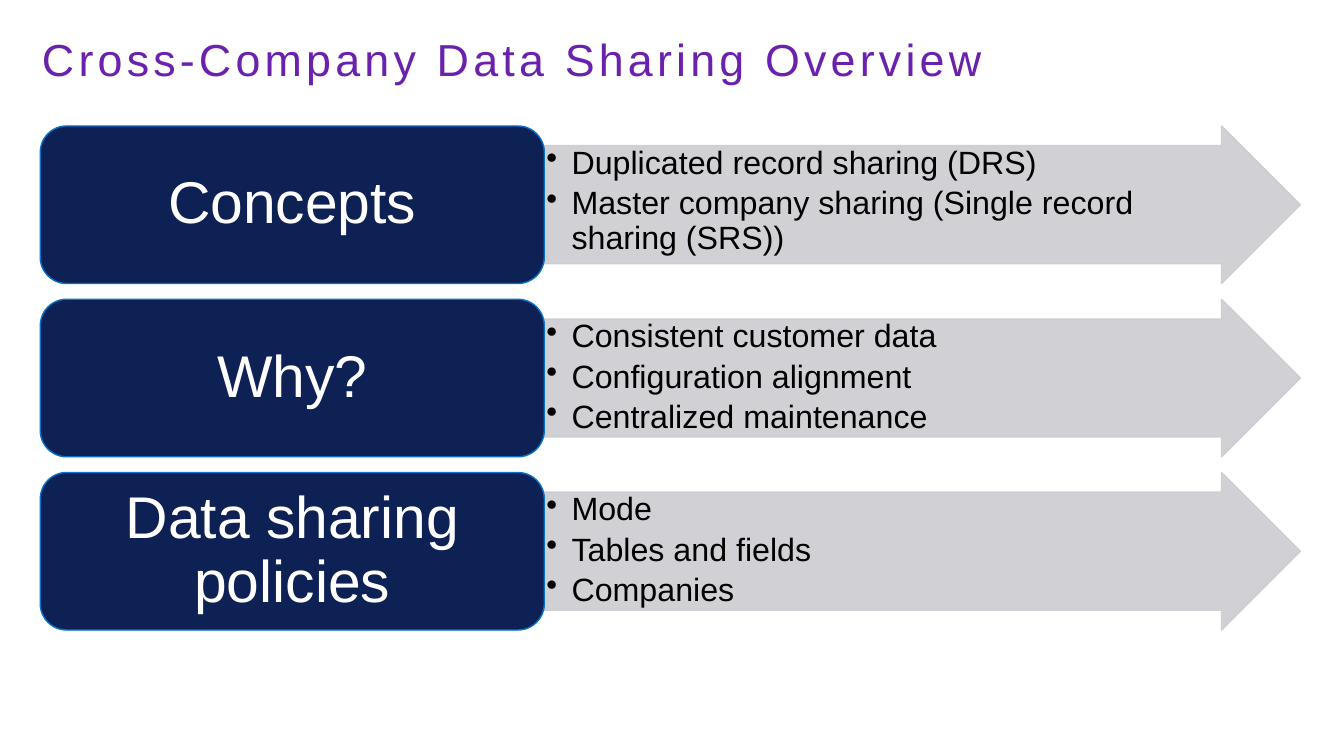
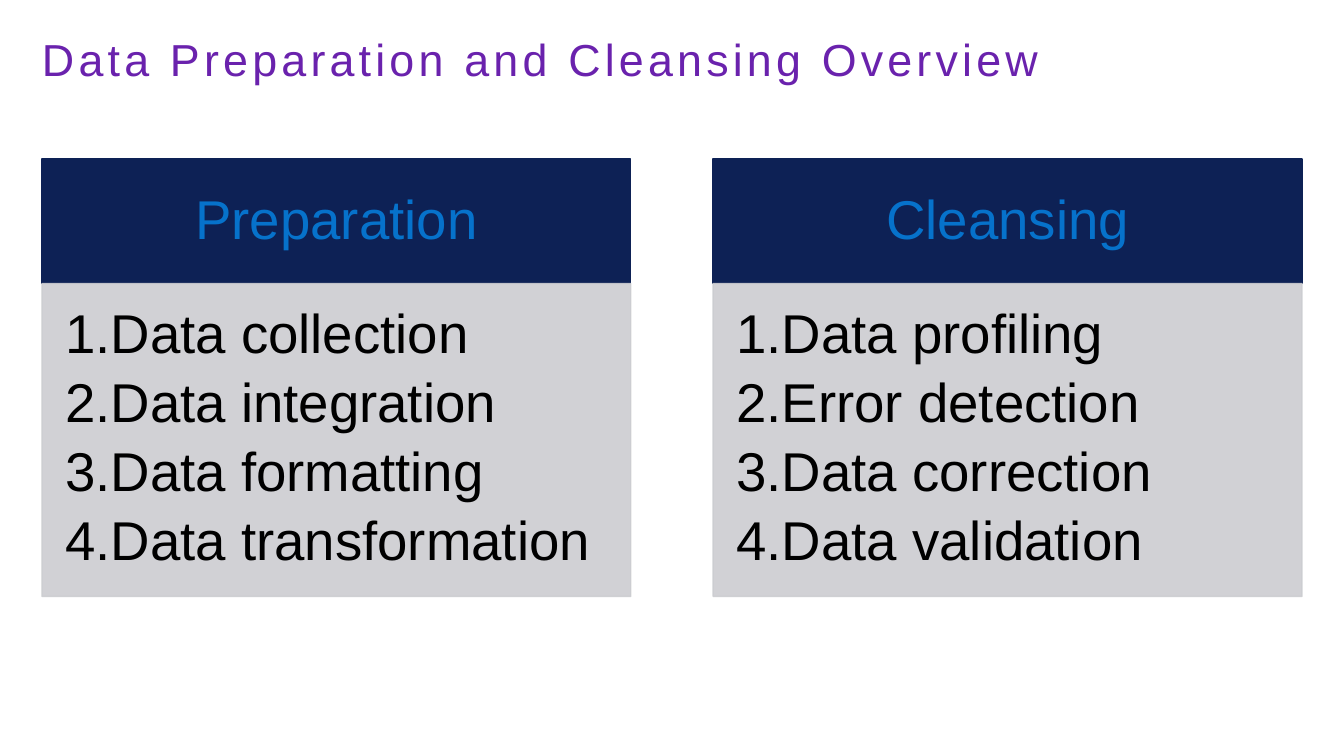
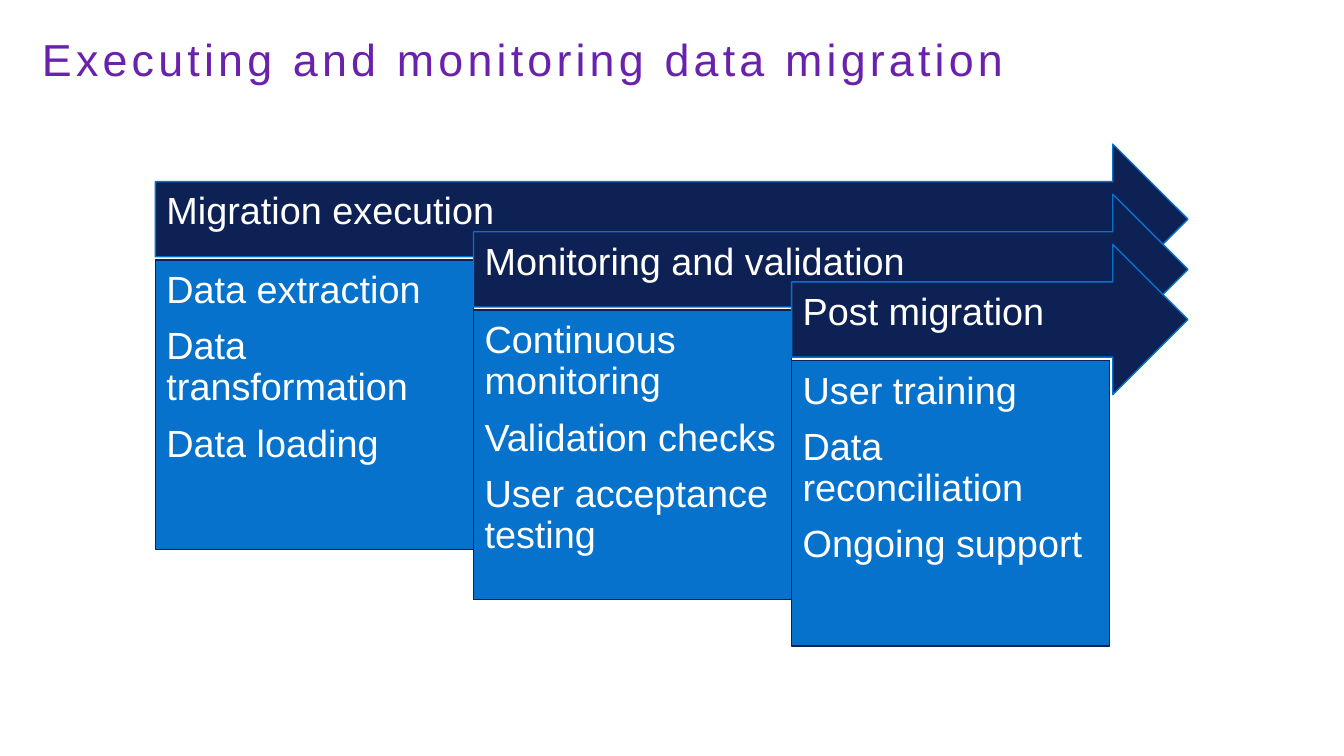
from pptx import Presentation
from pptx.dml.color import RGBColor
from pptx.enum.shapes import MSO_SHAPE
from pptx.enum.text import MSO_ANCHOR, MSO_AUTO_SIZE, PP_ALIGN
from pptx.oxml.ns import qn
from pptx.util import Inches, Pt
from lxml import etree

NAVY = RGBColor(0x0D, 0x21, 0x55)
BLUE = RGBColor(0x06, 0x72, 0xCB)
GREY = RGBColor(0xCC, 0xCD, 0xD1)
PURPLE = RGBColor(0x6A, 0x22, 0xAD)
WHITE = RGBColor(0xFF, 0xFF, 0xFF)
BLACK = RGBColor(0x00, 0x00, 0x00)
FONT = "Arial"
LINE_SPACING = 0.9

RECTANGLE = MSO_SHAPE.RECTANGLE
ROUNDED = MSO_SHAPE.ROUNDED_RECTANGLE
ARROW = MSO_SHAPE.RIGHT_ARROW
LEFT, CENTER = PP_ALIGN.LEFT, PP_ALIGN.CENTER
TOP, MIDDLE = MSO_ANCHOR.TOP, MSO_ANCHOR.MIDDLE
NO_AUTOFIT = MSO_AUTO_SIZE.NONE

presentation = Presentation()
presentation.slide_width = Inches(13.333)
presentation.slide_height = Inches(7.5)

# Grid of 160 columns by 90 rows
COLUMN = presentation.slide_width / 160
ROW = presentation.slide_height / 90


def add_titled_slide(text):
    slide = presentation.slides.add_slide(presentation.slide_layouts[5])
    title = slide.shapes.title
    title.left, title.top = int(5 * COLUMN), int(4.5 * ROW)
    title.width, title.height = int(150 * COLUMN), int(5.8 * ROW)
    frame = title.text_frame
    frame.text = text
    frame.auto_size = NO_AUTOFIT
    frame.vertical_anchor = MIDDLE
    frame.margin_left = frame.margin_top = frame.margin_right = frame.margin_bottom = 0
    paragraph = frame.paragraphs[0]
    paragraph.alignment = LEFT
    paragraph.line_spacing = LINE_SPACING
    paragraph.font.name = FONT
    paragraph.font.size = Pt(32)
    paragraph.font.color.rgb = PURPLE
    paragraph._p.pPr.find(qn("a:defRPr")).set("spc", "300")
    return slide


def add_panel(slide, kind, grid, lines, size, fill, outline, color, margins,
              align=LEFT, anchor=TOP, space_after=0, bullet=None, indent=0, opacity=None):
    """Add a filled shape; grid is left, top, width, height in columns and rows."""
    left, top, width, height = grid
    shape = slide.shapes.add_shape(kind, int(left * COLUMN), int(top * ROW),
                                   int(width * COLUMN), int(height * ROW))
    shape.shadow.inherit = False
    shape.fill.solid()
    shape.fill.fore_color.rgb = fill
    shape.line.color.rgb = outline
    shape.line.width = Pt(1)
    if opacity:
        for tint in shape._element.spPr.iter(qn("a:srgbClr")):
            etree.SubElement(tint, qn("a:alpha")).set("val", str(opacity * 1000))

    frame = shape.text_frame
    frame.word_wrap = True
    frame.vertical_anchor = anchor
    (frame.margin_left, frame.margin_top,
     frame.margin_right, frame.margin_bottom) = [Inches(margin) for margin in margins]
    frame.text = "\n".join(lines)
    for paragraph in frame.paragraphs:
        if bullet:
            tag, attribute, value = bullet
            properties = paragraph._p.get_or_add_pPr()
            properties.set("marL", str(Inches(indent)))
            properties.set("indent", str(-Inches(indent)))
            etree.SubElement(properties, qn(tag)).set(attribute, value)
        paragraph.alignment = align
        paragraph.line_spacing = LINE_SPACING
        paragraph.space_after = Pt(space_after)
        paragraph.font.name = FONT
        paragraph.font.size = Pt(size)
        paragraph.font.color.rgb = color
    return shape


# Slide 1: three topics, each with an arrow of points
slide = add_titled_slide("Cross-Company Data Sharing Overview")
topics = [
    ("Concepts", ["Duplicated record sharing (DRS)",
                  "Master company sharing (Single record sharing (SRS))"]),
    ("Why?", ["Consistent customer data", "Configuration alignment",
              "Centralized maintenance"]),
    ("Data sharing policies", ["Mode", "Tables and fields", "Companies"]),
]
topic_height = 18.75
for index, (topic, points) in enumerate(topics):
    top = 15 + index * topic_height * 1.1
    arrow = add_panel(slide, ARROW, (64.8, top, 90, topic_height), points, 23,
                      GREY, GREY, BLACK, (0.02, 0.01, 0, 0.01), space_after=4,
                      bullet=("a:buChar", "char", "•"), indent=0.25, opacity=90)
    arrow.adjustments[0] = 0.75
    add_panel(slide, ROUNDED, (4.8, top, 60, topic_height), [topic], 42,
              NAVY, BLUE, WHITE, (0.17, 0.08, 0.17, 0.08), CENTER, MIDDLE)

# Slide 2: two numbered lists under headings
slide = add_titled_slide("Data Preparation and Cleansing Overview")
stages = [
    ("Preparation", ["Data collection", "Data integration", "Data formatting",
                     "Data transformation"]),
    ("Cleansing", ["Data profiling", "Error detection", "Data correction",
                   "Data validation"]),
]
heading_top, heading_height, list_height, stage_width = 18.95, 14.8, 37.25, 70.1
for index, (heading, steps) in enumerate(stages):
    left = 5 + index * 79.9
    add_panel(slide, RECTANGLE, (left, heading_top, stage_width, heading_height),
              [heading], 39, NAVY, NAVY, BLUE, (0.3, 0.17, 0.3, 0.17), CENTER, MIDDLE)
    add_panel(slide, RECTANGLE,
              (left, heading_top + heading_height, stage_width, list_height),
              steps, 39, GREY, GREY, BLACK, (0.23, 0.23, 0.3, 0.34), space_after=7,
              bullet=("a:buAutoNum", "type", "arabicPeriod"), indent=0.31, opacity=90)

# Slide 3: overlapping arrows stepping down to the right
slide = add_titled_slide("Executing and monitoring data migration")
phases = [
    ("Migration execution", 34.45,
     ["Data extraction", "Data transformation", "Data loading"]),
    ("Monitoring and validation", 34.45,
     ["Continuous monitoring", "Validation checks", "User acceptance testing"]),
    ("Post migration", 34,
     ["User training", "Data reconciliation", "Ongoing support"]),
]
phase_width, arrow_tip = 37.87, 141.43
for index, (phase, body_height, tasks) in enumerate(phases):
    left = 18.5 + index * phase_width
    top = 17.15 + index * 5.97
    add_panel(slide, ARROW, (left, top, arrow_tip - left, 17.9), [phase], 27,
              NAVY, BLUE, WHITE, (0.11, 0.11, 0.27, 0.24), anchor=MIDDLE)
    add_panel(slide, RECTANGLE, (left, top + 13.8, phase_width, body_height), tasks, 27,
              BLUE, NAVY, WHITE, (0.11, 0.11, 0.11, 0.11), space_after=11)

presentation.save("out.pptx")
